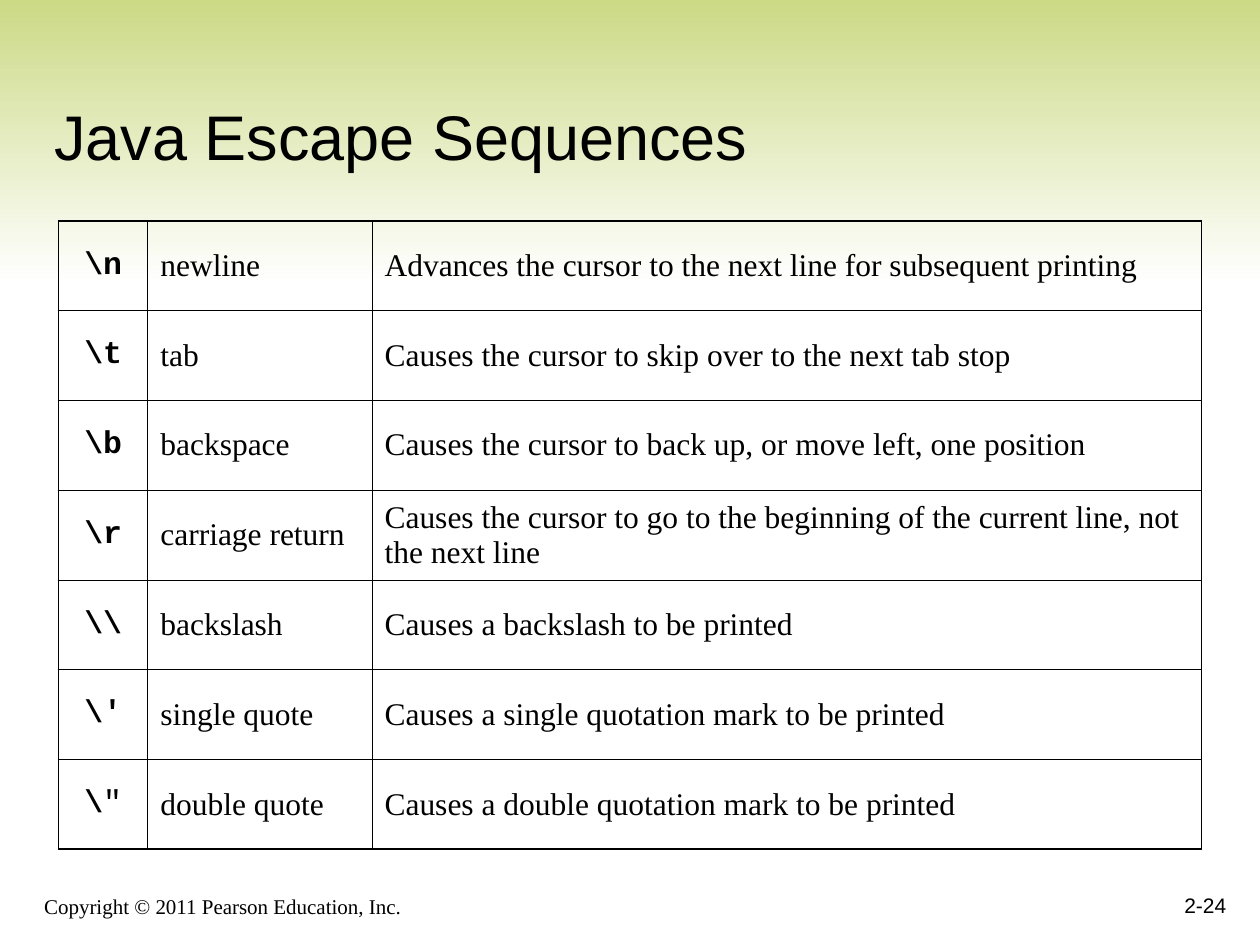
from lxml.etree import SubElement
from pptx import Presentation
from pptx.dml.color import RGBColor
from pptx.enum.shapes import MSO_SHAPE
from pptx.enum.text import MSO_ANCHOR, MSO_AUTO_SIZE, PP_ALIGN
from pptx.oxml.ns import qn
from pptx.util import Cm, Pt

BLACK = RGBColor(0x00, 0x00, 0x00)
WHITE = RGBColor(0xFF, 0xFF, 0xFF)
GREEN = RGBColor(0xCA, 0xD8, 0x81)

CODE = {"name": "Courier New", "size": Pt(18), "bold": True}
PROSE = {"name": "Times New Roman", "size": Pt(18), "bold": False}
TITLE = {"name": "Arial", "size": Pt(36)}
COPYRIGHT = {"name": "Times New Roman", "size": Pt(12)}
NUMBER = {"name": "Arial", "size": Pt(12)}

ESCAPES = [
    ("\\n", "newline", "Advances the cursor to the next line for subsequent printing"),
    ("\\t", "tab", "Causes the cursor to skip over to the next tab stop"),
    ("\\b", "backspace", "Causes the cursor to back up, or move left, one position"),
    ("\\r", "carriage return",
     "Causes the cursor to go to the beginning of the current line, not the next line"),
    ("\\\\", "backslash", "Causes a backslash to be printed"),
    ("\\'", "single quote", "Causes a single quotation mark to be printed"),
    ("\\\"", "double quote", "Causes a double quotation mark to be printed"),
]
COLUMN_WIDTHS = [Cm(1.8), Cm(4.52), Cm(16.72)]
ROW_HEIGHT = Cm(1.81)
OUTER_LINE, INNER_LINE = Pt(1.08), Pt(0.45)


def write(text_frame, text, font_format, alignment, anchor):
    text_frame.text = text
    text_frame.word_wrap = True
    text_frame.vertical_anchor = anchor
    paragraph = text_frame.paragraphs[0]
    paragraph.alignment = alignment
    for run in paragraph.runs:
        for name, value in font_format.items():
            setattr(run.font, name, value)
        run.font.color.rgb = BLACK


def set_borders(cell, widths):
    """Draw black borders, with widths in the order left, right, top, bottom."""
    properties = cell._tc.get_or_add_tcPr()
    for index, (side, width) in enumerate(zip("LRTB", widths)):
        line = SubElement(properties, qn(f"a:ln{side}"), w=str(int(width)))
        fill = SubElement(line, qn("a:solidFill"))
        SubElement(fill, qn("a:srgbClr"), val=str(BLACK))
        properties.insert(index, line)


presentation = Presentation()
presentation.slide_width = Cm(25.4)
presentation.slide_height = Cm(19.05)
slide = presentation.slides.add_slide(presentation.slide_layouts[5])

# Green band fading to white, behind everything
band = slide.shapes.add_shape(MSO_SHAPE.RECTANGLE, 0, Cm(-0.2), Cm(25.4), Cm(5.92))
band.shadow.inherit = False
band.line.fill.background()
band.fill.gradient()
band.fill.gradient_angle = 270
for stop, color in zip(band.fill.gradient_stops, (GREEN, WHITE)):
    stop.color.rgb = color
slide.shapes._spTree.insert(2, band._element)

# Title
title = slide.shapes.title
title_place = {"left": Cm(0.84), "top": Cm(0.84), "width": Cm(23.92), "height": Cm(2.77)}
for name, value in title_place.items():
    setattr(title, name, value)
write(title.text_frame, "Java Escape Sequences", TITLE, PP_ALIGN.LEFT, MSO_ANCHOR.BOTTOM)
title.text_frame.auto_size = MSO_AUTO_SIZE.NONE

# Footer
footers = [
    ("Copyright © 2011 Pearson Education, Inc.", COPYRIGHT, PP_ALIGN.LEFT,
     (Cm(0.64), Cm(17.58), Cm(15.44), Cm(1.07))),
    ("2-24", NUMBER, PP_ALIGN.RIGHT, (Cm(19.69), Cm(17.36), Cm(5.28), Cm(1.27))),
]
for text, font_format, alignment, place in footers:
    footer = slide.shapes.add_textbox(*place)
    write(footer.text_frame, text, font_format, alignment, MSO_ANCHOR.BOTTOM)

# Table of escape sequences
row_count, column_count = len(ESCAPES), len(COLUMN_WIDTHS)
table = slide.shapes.add_table(
    row_count, column_count, Cm(1.18), Cm(4.45),
    sum(COLUMN_WIDTHS), ROW_HEIGHT * row_count).table
table.first_row = False
table.horz_banding = False
for column, width in zip(table.columns, COLUMN_WIDTHS):
    column.width = width
for row_index, texts in enumerate(ESCAPES):
    table.rows[row_index].height = ROW_HEIGHT
    for column_index, text in enumerate(texts):
        cell = table.cell(row_index, column_index)
        is_code = column_index == 0
        write(cell.text_frame, text, CODE if is_code else PROSE,
              PP_ALIGN.CENTER if is_code else PP_ALIGN.LEFT, None)
        cell.vertical_anchor = MSO_ANCHOR.MIDDLE
        cell.fill.background()
        on_edge = (column_index == 0, column_index == column_count - 1,
                   row_index == 0, row_index == row_count - 1)
        set_borders(cell, [OUTER_LINE if edge else INNER_LINE for edge in on_edge])

# The double quotation mark itself is not bold
quote_paragraph = table.cell(row_count - 1, 0).text_frame.paragraphs[0]
quote_paragraph.runs[0].text = "\\"
quote_run = quote_paragraph.add_run()
quote_run.text = '"'
for name, value in {**CODE, "bold": False}.items():
    setattr(quote_run.font, name, value)
quote_run.font.color.rgb = BLACK

presentation.save("out.pptx")
